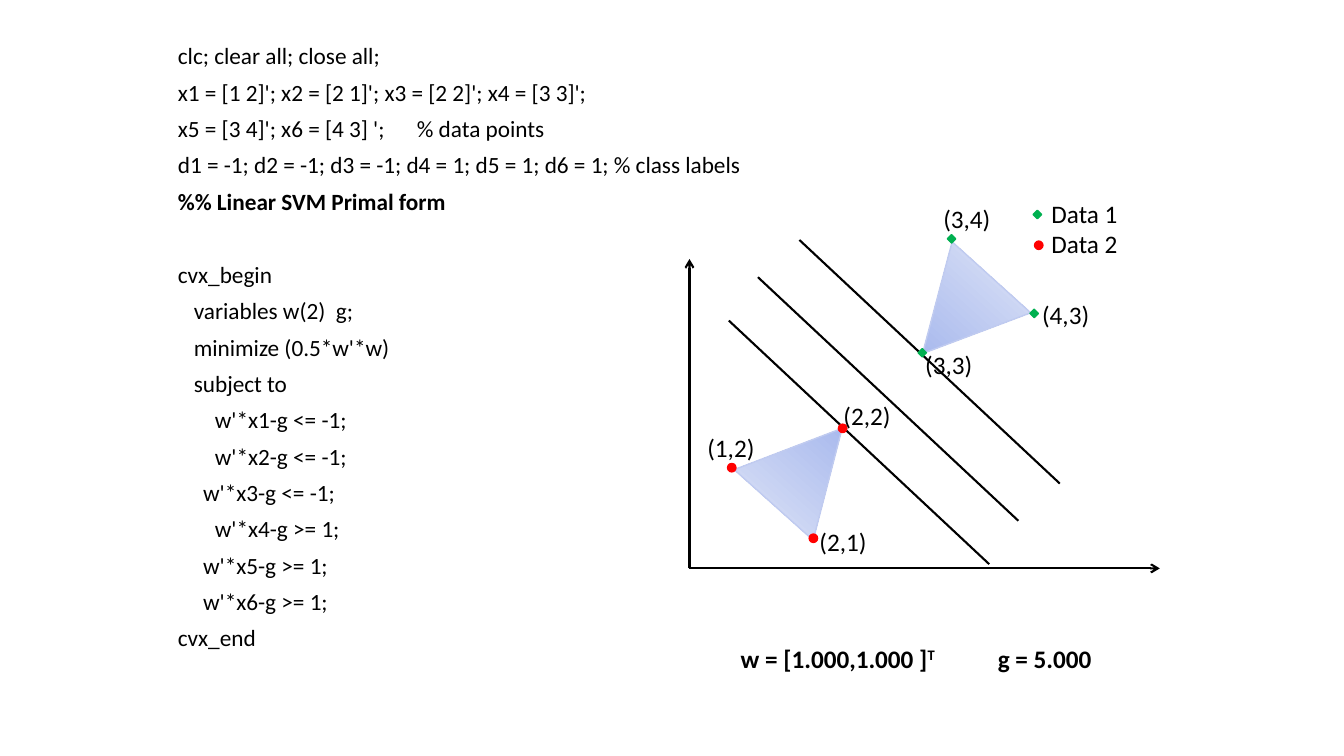
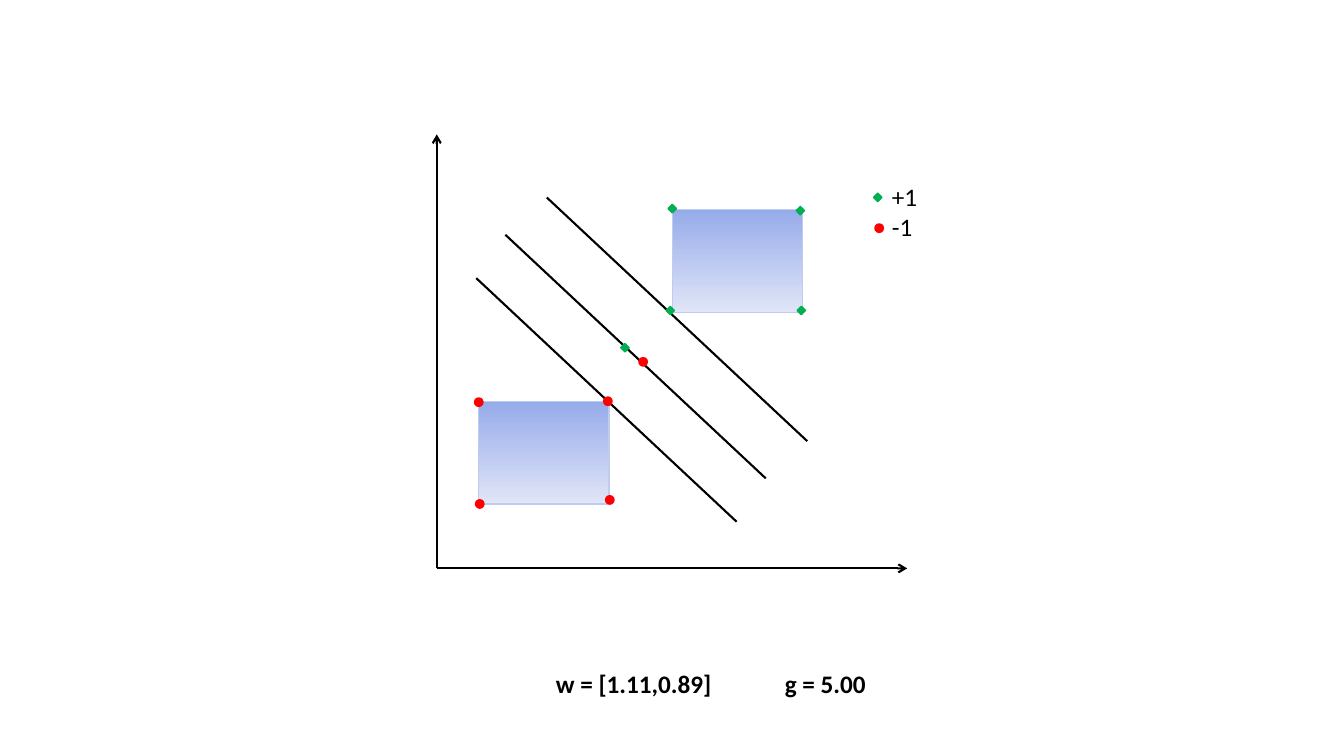
from lxml import etree
from pptx import Presentation
from pptx.dml.color import RGBColor
from pptx.enum import shapes, text
from pptx.oxml import ns
from pptx.util import Pt

COLORS = {"ink": "000000", "red": "FF0000", "green": "00B050",
          "region_dark": "96ABEA", "region_light": "E0E5F7", "region_edge": "C0CBF0"}
FONT = "Calibri"
SHAPE = shapes.MSO_SHAPE
CLASSES = {"positive": (SHAPE.DIAMOND, "green"), "negative": (SHAPE.OVAL, "red")}
DOT = 6
AXIS_LENGTH = 336
MARGIN_OFFSETS = [(0, 0), (20.8, -31), (50.4, -57.6)]
MARGIN_SPAN = (186, 174)
LEGEND_DOTS = {"positive": (-3, 15), "negative": (-2, 37)}

# Each line: indent in points, text
CODE_SIZE, CODE_GAP, CODE_TAB = 16.6, 10, 170.7
CODE_BLOCKS = [
    [(0, "clc; clear all; close all;"),
     (0, "x1 = [1 2]'; x2 = [2 1]'; x3 = [2 2]'; x4 = [3 3]';"),
     (0, "x5 = [3 4]'; x6 = [4 3] ';\t% data points"),
     (0, "d1 = -1; d2 = -1; d3 = -1; d4 = 1; d5 = 1; d6 = 1; % class labels"),
     (0, "%% Linear SVM Primal form")],
    [(0, "cvx_begin"),
     (11.4, "variables w(2)  g;"),
     (11.4, "minimize (0.5*w'*w)"),
     (11.4, "subject to"),
     (26.4, "w'*x1-g <= -1;"),
     (26.4, "w'*x2-g <= -1;"),
     (18, "w'*x3-g <= -1;"),
     (26.4, "w'*x4-g >= 1;"),
     (18, "w'*x5-g >= 1;"),
     (18, "w'*x6-g >= 1;"),
     (0, "cvx_end")],
]

TRIANGLES = {
    "origin": (492.5, 406), "axis_top": 185, "margin_start": (520.6, 229),
    "region": (SHAPE.ISOSCELES_TRIANGLE, 75.6, 73.4),
    "regions": [(539.3, 296.6, 41.8), (645.8, 188.6, 222.1)],
    "dots": {"negative": [(522.7, 334.1), (601.9, 306), (581, 384.5)],
             "positive": [(658.8, 252), (679.7, 170.6), (738.7, 223.9)]},
    "labels": [("(2,1)", 578.2, 372.2), ("(1,2)", 498.2, 305.3), ("(2,2)", 595.4, 282.2),
               ("(3,3)", 653.8, 246.2), ("(4,3)", 737.3, 210.2), ("(3,4)", 666.7, 141.8)],
    "legend": (744, 138.2, 78), "legend_lines": ["Data 1", "Data 2"],
    "result": (522, 455.8, 270), "result_tab": 183.6,
    "result_runs": [("w = [1.000,1.000 ]", False), ("T", True), ("\tg = 5.000", False)],
}
RECTANGLES = {
    "origin": (312, 406), "axis_top": 96, "margin_start": (340.2, 198.7),
    "region": (SHAPE.FLOWCHART_PROCESS, 92.9, 73.4),
    "regions": [(480.2, 149.8, 0), (342, 286.6, 0)],
    "dots": {"negative": [(342, 287.3), (434.2, 286.6), (435.6, 357.1), (342.7, 360),
                          (459.4, 258.5)],
             "positive": [(478.8, 221.8), (480.2, 149), (446.4, 248.4), (571.7, 150.5),
                          (572.4, 221.8)]},
    "labels": [],
    "legend": (630, 126, 42), "legend_lines": ["+1", "-1"],
    "result": (390, 473.8, 252), "result_tab": 163.6,
    "result_runs": [("w = [1.11,0.89]", False), ("\tg = 5.00", False)],
}


def rgb(name):
    return RGBColor.from_string(COLORS[name])


def add_text_frame(s, x, y, w, h):
    tf = s.shapes.add_textbox(Pt(x), Pt(y), Pt(w), Pt(h)).text_frame
    tf.word_wrap = True
    tf.vertical_anchor = text.MSO_ANCHOR.TOP
    return tf


def next_paragraph(tf):
    """Return the empty first paragraph, or a new one after it."""
    return tf.add_paragraph() if tf.paragraphs[0].runs else tf.paragraphs[0]


def add_run(p, words, size=18, bold=False, superscript=False):
    r = p.add_run()
    r.text = words
    for key, value in {"name": FONT, "size": Pt(size), "bold": bold}.items():
        setattr(r.font, key, value)
    r.font.color.rgb = rgb("ink")
    if superscript:
        r._r.get_or_add_rPr().set("baseline", "30000")


def add_tab_stop(p, position):
    tabs = etree.SubElement(p._p.get_or_add_pPr(), ns.qn("a:tabLst"))
    etree.SubElement(tabs, ns.qn("a:tab"), pos=str(Pt(position)), algn="l")


def add_line(s, start, end, arrow=False):
    line = s.shapes.add_connector(shapes.MSO_CONNECTOR.STRAIGHT,
                                  *(Pt(v) for v in (*start, *end)))
    line.line.width = Pt(1.5)
    line.line.color.rgb = rgb("ink")
    if arrow:
        etree.SubElement(line.line._get_or_add_ln(), ns.qn("a:tailEnd"), type="arrow")
    etree.SubElement(line._element.spPr, ns.qn("a:effectLst"))


def add_outlined(s, kind, x, y, w, h, edge):
    sp = s.shapes.add_shape(kind, Pt(x), Pt(y), Pt(w), Pt(h))
    sp.shadow.inherit = False
    sp.line.width = Pt(1)
    sp.line.color.rgb = rgb(edge)
    return sp


def add_region(s, kind, x, y, w, h, rotation):
    sp = add_outlined(s, kind, x, y, w, h, "region_edge")
    sp.rotation = rotation
    sp.fill.gradient()
    sp.fill.gradient_angle = 270
    for stop, name in zip(sp.fill.gradient_stops, ("region_dark", "region_light")):
        stop.color.rgb = rgb(name)


def add_dot(s, group, cx, cy):
    kind, color = CLASSES[group]
    sp = add_outlined(s, kind, cx - DOT / 2, cy - DOT / 2, DOT, DOT, color)
    sp.fill.solid()
    sp.fill.fore_color.rgb = rgb(color)


def add_plot(s, plot):
    """Draw axes, regions, margin lines, points, legend and result."""
    ox, oy = plot["origin"]
    add_line(s, (ox, oy), (ox + AXIS_LENGTH, oy), arrow=True)
    add_line(s, (ox, oy), (ox, plot["axis_top"]), arrow=True)

    kind, w, h = plot["region"]
    for x, y, rotation in plot["regions"]:
        add_region(s, kind, x, y, w, h, rotation)

    mx, my = plot["margin_start"]
    for dx, dy in MARGIN_OFFSETS:
        x, y = mx + dx, my + dy
        add_line(s, (x, y), (x + MARGIN_SPAN[0], y + MARGIN_SPAN[1]))

    for group, centres in plot["dots"].items():
        for cx, cy in centres:
            add_dot(s, group, cx, cy)
    for words, x, y in plot["labels"]:
        add_run(add_text_frame(s, x, y, 60, 29).paragraphs[0], words)

    x, y, w = plot["legend"]
    for group, (dx, dy) in LEGEND_DOTS.items():
        add_dot(s, group, x + dx, y + dy)
    tf = add_text_frame(s, x, y, w, 51)
    for words in plot["legend_lines"]:
        add_run(next_paragraph(tf), words)

    p = add_text_frame(s, *plot["result"], 29).paragraphs[0]
    add_tab_stop(p, plot["result_tab"])
    for words, superscript in plot["result_runs"]:
        add_run(p, words, bold=True, superscript=superscript)


def add_code(s):
    tf = add_text_frame(s, 120, 30, 492, 456)
    block_gap = 2 * CODE_GAP + CODE_SIZE
    for b, block in enumerate(CODE_BLOCKS):
        for i, (indent, words) in enumerate(block):
            p = next_paragraph(tf)
            p.line_spacing = 0.8
            p.space_before = Pt(CODE_GAP if i else block_gap * b)
            p._p.get_or_add_pPr().set("marL", str(Pt(indent)))
            if "\t" in words:
                add_tab_stop(p, CODE_TAB)
            add_run(p, words, CODE_SIZE, bold=words.startswith("%%"))


def main():
    prs = Presentation()
    prs.slide_width, prs.slide_height = Pt(960), Pt(540)
    blank = prs.slide_layouts[6]
    code_slide, plot_slide = (prs.slides.add_slide(blank) for _ in range(2))
    add_code(code_slide)
    add_plot(code_slide, TRIANGLES)
    add_plot(plot_slide, RECTANGLES)
    prs.save("out.pptx")


if __name__ == "__main__":
    main()
